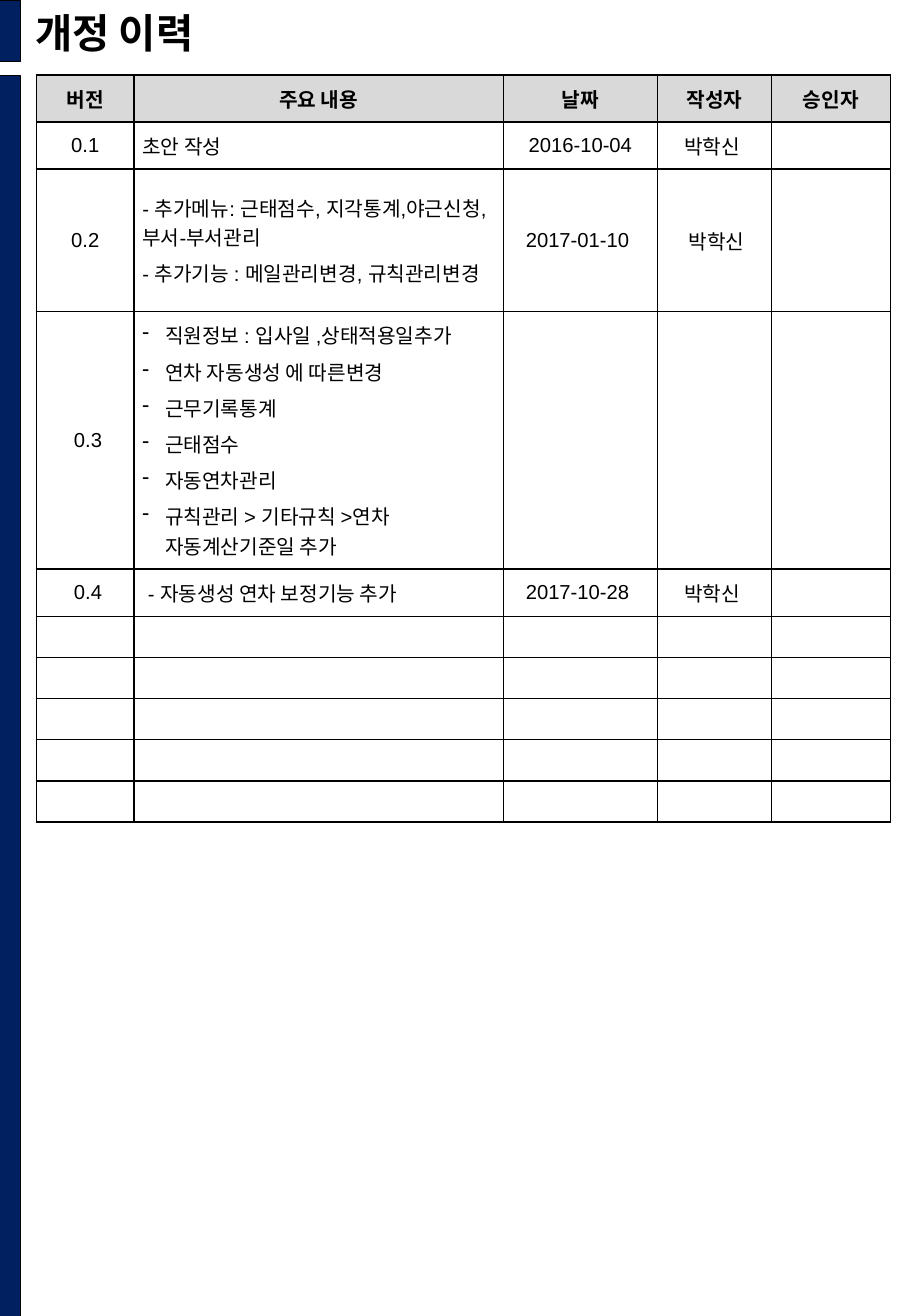
"""Build the revision history page with its version table."""
from dataclasses import dataclass

from lxml import etree
from pptx import Presentation
from pptx import util as u
from pptx.dml.color import RGBColor
from pptx.enum import shapes, text
from pptx.oxml.ns import qn


@dataclass(frozen=True)
class Theme:
    navy: str = "002060"
    ink: str = "000000"
    header: str = "D9D9D9"
    title_font: str = "Noto Sans CJK KR"
    body_font: str = "Arial"
    title_size: float = 24
    body_size: float = 12
    inset: float = 5
    gap: float = 2
    bullet_indent: float = 13.5


PAGE_WIDTH, PAGE_HEIGHT = 540, 780
TABLE_LEFT, TABLE_TOP = 21.6, 44.5
COLUMN_WIDTHS = [57.8, 219, 91.3, 67.6, 70.5]
CONTENT_COLUMN = 1
BULLETED_VERSION = 3
EMPTY_ROWS = 5
ROW_HEIGHTS = [27.9, 27.9, 84.2, 152.9, 27.9] + [24.1] * EMPTY_ROWS

HISTORY = [
    ["버전", "주요 내용", "날짜", "작성자", "승인자"],
    ["0.1", "초안 작성", "2016-10-04", "박학신 ", ""],
    ["0.2",
     "- 추가메뉴: 근태점수, 지각통계,야근신청,부서-부서관리\n"
     "- 추가기능 : 메일관리변경, 규칙관리변경",
     "2017-01-10 ", " 박학신", ""],
    [" 0.3",
     "직원정보 : 입사일 ,상태적용일추가\n"
     "연차 자동생성 에 따른변경\n"
     "근무기록통계\n"
     "근태점수\n"
     "자동연차관리\n"
     "규칙관리 > 기타규칙 >연차 자동계산기준일 추가",
     "", "", ""],
    [" 0.4", " - 자동생성 연차 보정기능 추가", "2017-10-28 ", "박학신 ", ""],
] + [[""] * len(COLUMN_WIDTHS)] * EMPTY_ROWS


class Page:
    def __init__(self, slide, theme):
        self.slide, self.theme = slide, theme

    def style(self, paragraph, font, size, bold):
        paragraph.font.name = font
        paragraph.font.size = u.Pt(size)
        paragraph.font.bold = bold
        paragraph.font.color.rgb = RGBColor.from_string(self.theme.ink)

    def bar(self, top, height):
        bar = self.slide.shapes.add_shape(
            shapes.MSO_SHAPE.RECTANGLE,
            u.Pt(-1.2), u.Pt(top), u.Pt(13), u.Pt(height))
        bar.shadow.inherit = False
        bar.fill.solid()
        bar.fill.fore_color.rgb = RGBColor.from_string(self.theme.navy)
        bar.line.color.rgb = RGBColor.from_string(self.theme.ink)
        bar.line.width = u.Pt(0.25)

    def title(self, wording, left, top, width, height):
        heading = self.slide.shapes.title
        heading.left, heading.top = u.Pt(left), u.Pt(top)
        heading.width, heading.height = u.Pt(width), u.Pt(height)
        frame = heading.text_frame
        frame.text = wording
        frame.auto_size = text.MSO_AUTO_SIZE.SHAPE_TO_FIT_TEXT
        frame.vertical_anchor = text.MSO_ANCHOR.BOTTOM
        frame.paragraphs[0].alignment = text.PP_ALIGN.LEFT
        self.style(frame.paragraphs[0], self.theme.title_font,
                   self.theme.title_size, True)

    def table(self, rows, widths, heights, left, top):
        history = self.slide.shapes.add_table(
            len(rows), len(widths), u.Pt(left), u.Pt(top),
            u.Pt(sum(widths)), u.Pt(sum(heights))).table
        history.horz_banding = False
        for column, width in zip(history.columns, widths):
            column.width = u.Pt(width)
        for row, height in zip(history.rows, heights):
            row.height = u.Pt(height)
        for r, entries in enumerate(rows):
            for c, wording in enumerate(entries):
                self.cell(history.cell(r, c), wording, header=r == 0,
                          centred=r == 0 or c != CONTENT_COLUMN,
                          bulleted=(r, c) == (BULLETED_VERSION, CONTENT_COLUMN))

    def cell(self, cell, wording, header, centred, bulleted):
        theme = self.theme
        cell.margin_left = cell.margin_right = u.Pt(theme.inset)
        cell.margin_top = cell.margin_bottom = u.Pt(theme.inset)
        cell.vertical_anchor = text.MSO_ANCHOR.MIDDLE
        self.borders(cell)
        if header:
            cell.fill.solid()
            cell.fill.fore_color.rgb = RGBColor.from_string(theme.header)
        else:
            cell.fill.background()
        cell.text = wording
        for paragraph in cell.text_frame.paragraphs:
            self.style(paragraph, theme.body_font, theme.body_size, header)
            paragraph.alignment = (text.PP_ALIGN.CENTER if centred
                                   else text.PP_ALIGN.LEFT)
            if wording:
                paragraph.space_before = paragraph.space_after = u.Pt(theme.gap)
            else:
                end = etree.SubElement(paragraph._p, qn("a:endParaRPr"))
                end.set("sz", str(int(theme.body_size * 100)))
            if bulleted:
                self.bullet(paragraph)

    def bullet(self, paragraph):
        properties = paragraph._p.get_or_add_pPr()
        indent = u.Pt(self.theme.bullet_indent)
        properties.set("marL", str(indent))
        properties.set("indent", str(-indent))
        mark = etree.Element(qn("a:buChar"), char="-")
        properties.find(qn("a:defRPr")).addprevious(mark)

    def borders(self, cell):
        properties = cell._tc.get_or_add_tcPr()
        for side in ("a:lnL", "a:lnR", "a:lnT", "a:lnB"):
            line = etree.SubElement(properties, qn(side), w=str(u.Pt(1)))
            fill = etree.SubElement(line, qn("a:solidFill"))
            etree.SubElement(fill, qn("a:srgbClr"), val=self.theme.ink)


def main():
    deck = Presentation()
    deck.slide_width, deck.slide_height = u.Pt(PAGE_WIDTH), u.Pt(PAGE_HEIGHT)
    title_only = deck.slide_layouts[5]
    page = Page(deck.slides.add_slide(title_only), Theme())
    page.bar(TABLE_TOP, PAGE_HEIGHT - TABLE_TOP)
    page.bar(0, 36.5)
    page.title("개정 이력", 13.7, 0.7, 459.4, 36.7)
    page.table(HISTORY, COLUMN_WIDTHS, ROW_HEIGHTS, TABLE_LEFT, TABLE_TOP)
    deck.save("out.pptx")


if __name__ == "__main__":
    main()
